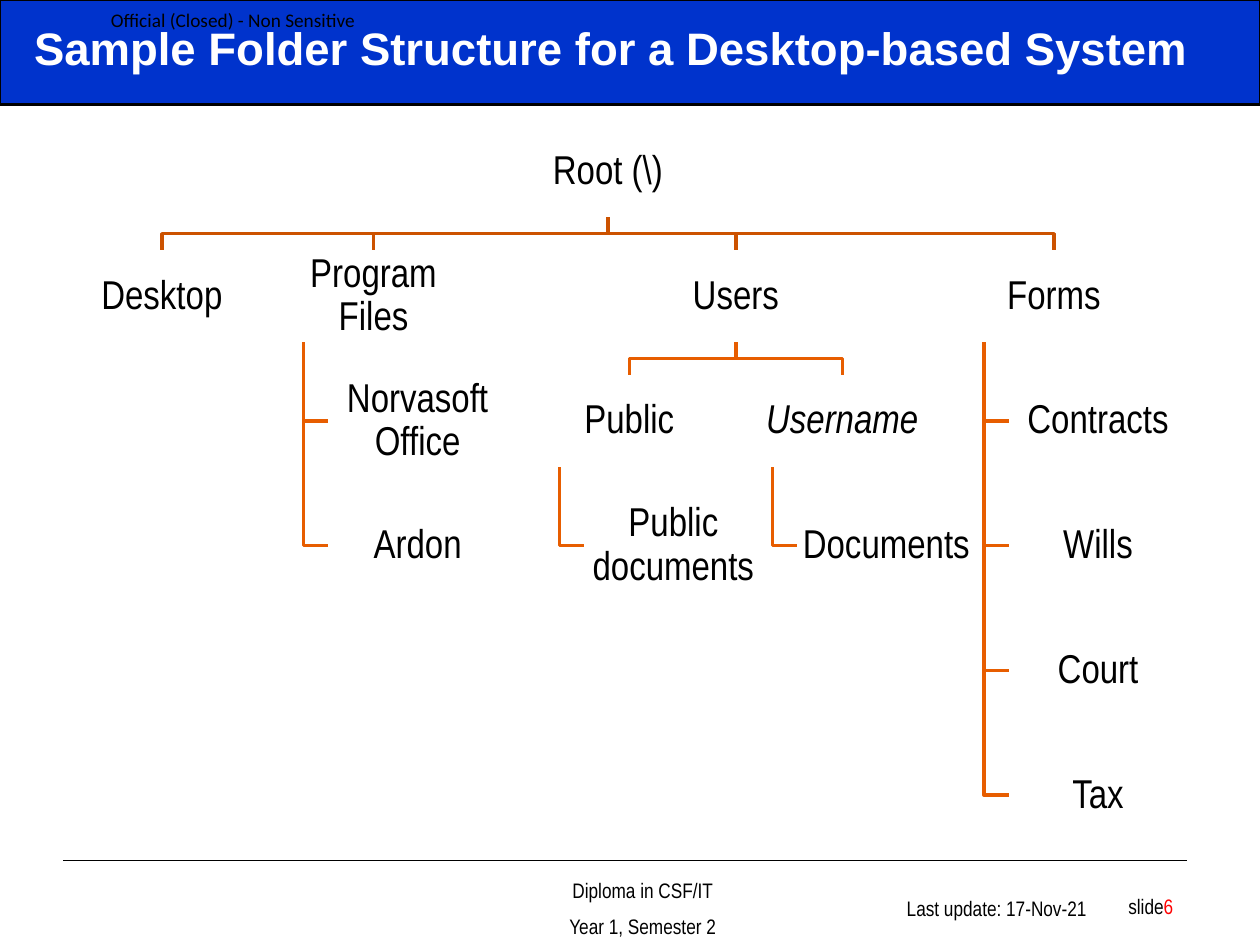
from dataclasses import dataclass
from typing import Optional

from lxml import etree
from pptx import Presentation
from pptx.dml.color import RGBColor
from pptx.enum.shapes import MSO_CONNECTOR, MSO_SHAPE
from pptx.enum.text import MSO_ANCHOR, MSO_AUTO_SIZE, PP_ALIGN
from pptx.oxml.ns import qn
from pptx.util import Inches, Pt

RECTANGLE = MSO_SHAPE.RECTANGLE
STRAIGHT = MSO_CONNECTOR.STRAIGHT
MIDDLE, BOTTOM = MSO_ANCHOR.MIDDLE, MSO_ANCHOR.BOTTOM
LEFT, CENTER, RIGHT = PP_ALIGN.LEFT, PP_ALIGN.CENTER, PP_ALIGN.RIGHT
NO_AUTOFIT = MSO_AUTO_SIZE.NONE
TITLE_ONLY = 5

NODE_W, NODE_H = 1.39, 0.7
FIRST_ROW, ROW_PITCH = 1.01, 0.99
HANG_INDENT, HANG_STEM = 0.35, 0.14


@dataclass(frozen=True)
class Theme:
    """Colours, fonts and type sizes of the slide."""
    black = RGBColor(0x00, 0x00, 0x00)
    white = RGBColor(0xFF, 0xFF, 0xFF)
    banner = RGBColor(0x00, 0x33, 0xCC)
    page_number = RGBColor(0xFF, 0x00, 0x00)
    root_link = RGBColor(0xCC, 0x52, 0x00)
    link = RGBColor(0xE7, 0x5D, 0x00)
    title_font, tree_font, marking_font = "Arial", "Arial Narrow", "Calibri"
    title_size, node_size, footer_size, marking_size = 26, 23, 12, 11


@dataclass
class Folder:
    """A folder: children spread across a row, or hang in a list below."""
    label: str
    left: Optional[float] = None
    across: tuple = ()
    hanging: tuple = ()
    italic: bool = False
    top: float = 0


THEME = Theme()

FOLDERS = Folder("Root (\\)", across=(
    Folder("Desktop", 0.59),
    Folder("Program Files", 2.27, hanging=(Folder("Norvasoft Office"), Folder("Ardon"))),
    Folder("Users", across=(
        Folder("Public", 4.3, hanging=(Folder("Public documents"),)),
        Folder("Username", 5.99, hanging=(Folder("Documents"),), italic=True),
    )),
    Folder("Forms", 7.67, hanging=tuple(
        Folder(label) for label in ("Contracts", "Wills", "Court", "Tax"))),
))


def style_font(font, name, size, color, bold=False, italic=False):
    """Set every property of a font."""
    font.name, font.size, font.bold, font.italic = name, Pt(size), bold, italic
    font.color.rgb = color


def set_margins(frame, left, top, right, bottom):
    """Set the insets of a text frame, in inches."""
    frame.margin_left, frame.margin_top = Inches(left), Inches(top)
    frame.margin_right, frame.margin_bottom = Inches(right), Inches(bottom)


def place_folder(folder, row=0):
    """Work out positions, centring each parent over its spread children."""
    folder.top = FIRST_ROW + row * ROW_PITCH
    for child in folder.across:
        place_folder(child, row + 1)
    if folder.across:
        folder.left = (folder.across[0].left + folder.across[-1].left) / 2
    for step, child in enumerate(folder.hanging, 1):
        child.left = folder.left + HANG_INDENT
        place_folder(child, row + step)


def add_link(slide, points, color):
    """Draw an open bent line through points given in inches."""
    corners = [(Inches(x), Inches(y)) for x, y in points]
    builder = slide.shapes.build_freeform(*corners[0])
    builder.add_line_segments(corners[1:], close=False)
    link = builder.convert_to_shape()
    link.shadow.inherit = False
    link.fill.background()
    link.line.color.rgb, link.line.width = color, Pt(2)


def add_links(slide, folder, color):
    """Draw the links from a folder to everything below it."""
    bottom = folder.top + NODE_H
    centre = folder.left + NODE_W / 2
    stem = folder.left + HANG_STEM
    for child in folder.across:
        bend = (bottom + child.top) / 2
        child_centre = child.left + NODE_W / 2
        add_link(slide, [(centre, bottom), (centre, bend),
                         (child_centre, bend), (child_centre, child.top)], color)
        add_links(slide, child, THEME.link)
    for child in folder.hanging:
        middle = child.top + NODE_H / 2
        add_link(slide, [(stem, bottom), (stem, middle), (child.left, middle)], color)


def add_nodes(slide, folder):
    """Draw a folder's label box and those of its children."""
    node = slide.shapes.add_shape(RECTANGLE, Inches(folder.left), Inches(folder.top),
                                  Inches(NODE_W), Inches(NODE_H))
    node.shadow.inherit = False
    node.fill.background()
    node.line.color.rgb, node.line.width = THEME.white, Pt(2)
    frame = node.text_frame
    frame.word_wrap, frame.vertical_anchor = True, MIDDLE
    set_margins(frame, 0.02, 0.02, 0.02, 0.02)
    label = frame.paragraphs[0]
    label.text, label.alignment, label.line_spacing = folder.label, CENTER, 0.9
    style_font(label.font, THEME.tree_font, THEME.node_size, THEME.black,
               italic=folder.italic)
    for child in folder.across + folder.hanging:
        add_nodes(slide, child)


def add_footer(slide, box, lines, alignment, indent=0.0):
    """Add a bottom-anchored footer text and return its last paragraph."""
    frame = slide.shapes.add_textbox(*map(Inches, box)).text_frame
    frame.word_wrap, frame.vertical_anchor = True, BOTTOM
    set_margins(frame, 0.1 + indent, 0.05, 0.1, 0.05)
    frame.text = "\n".join(lines)
    for line in frame.paragraphs:
        line.alignment, line.space_before = alignment, Pt(6)
        style_font(line.font, THEME.tree_font, THEME.footer_size, THEME.black)
    return frame.paragraphs[-1]


def add_banner(slide):
    """Draw the blue title band."""
    banner = slide.shapes.add_shape(RECTANGLE, 0, 0, Inches(10), Inches(0.83))
    banner.shadow.inherit = False
    banner.fill.solid()
    banner.fill.fore_color.rgb = THEME.banner
    banner.line.color.rgb, banner.line.width = THEME.black, Pt(1.5)


def add_marking(slide, text):
    """Add the classification marking at the top edge."""
    frame = slide.shapes.add_textbox(0, 0, Inches(3.01), Inches(0.31)).text_frame
    frame.word_wrap, frame.vertical_anchor = True, MIDDLE
    set_margins(frame, 0.88, 0, 0, 0)
    marking = frame.paragraphs[0]
    marking.text = text
    style_font(marking.font, THEME.marking_font, THEME.marking_size, THEME.black)


def add_footer_rule(slide):
    """Draw the line above the footer."""
    rule = slide.shapes.add_connector(STRAIGHT, Inches(0.5), Inches(6.83),
                                      Inches(9.42), Inches(6.83))
    rule.line.color.rgb, rule.line.width = THEME.black, Pt(1)
    etree.SubElement(rule._element.spPr, qn("a:effectLst"))


def set_title(slide, text):
    """Fill the title placeholder and bring it in front of the banner."""
    title = slide.shapes.title
    title.left, title.top = Inches(0.17), 0
    title.width, title.height = Inches(9.83), Inches(0.75)
    frame = title.text_frame
    frame.text = text
    frame.word_wrap, frame.vertical_anchor = True, MIDDLE
    frame.auto_size = NO_AUTOFIT
    heading = frame.paragraphs[0]
    heading.alignment = LEFT
    style_font(heading.font, THEME.title_font, THEME.title_size, THEME.white, bold=True)
    slide.shapes._spTree.append(title._element)


def main():
    """Build the slide and save it."""
    deck = Presentation()
    deck.slide_width, deck.slide_height = Inches(10), Inches(7.5)
    slide = deck.slides.add_slide(deck.slide_layouts[TITLE_ONLY])
    add_footer(slide, (3.39, 7.08, 2.92, 0.42),
               ["Diploma in CSF/IT", "Year 1, Semester 2"], CENTER, indent=0.5)
    add_footer_rule(slide)
    add_banner(slide)
    add_footer(slide, (6.58, 6.94, 2.16, 0.42), ["Last update: 17-Nov-21"],
               CENTER, indent=0.5)
    add_marking(slide, "Official (Closed) - Non Sensitive")
    set_title(slide, "Sample Folder Structure for a Desktop-based System")
    page = add_footer(slide, (7.33, 6.92, 2.08, 0.42), ["slide"], RIGHT)
    number = page.add_run()
    number.text, number.font.color.rgb = "6", THEME.page_number
    place_folder(FOLDERS)
    add_links(slide, FOLDERS, THEME.root_link)
    add_nodes(slide, FOLDERS)
    deck.save("out.pptx")


main()
